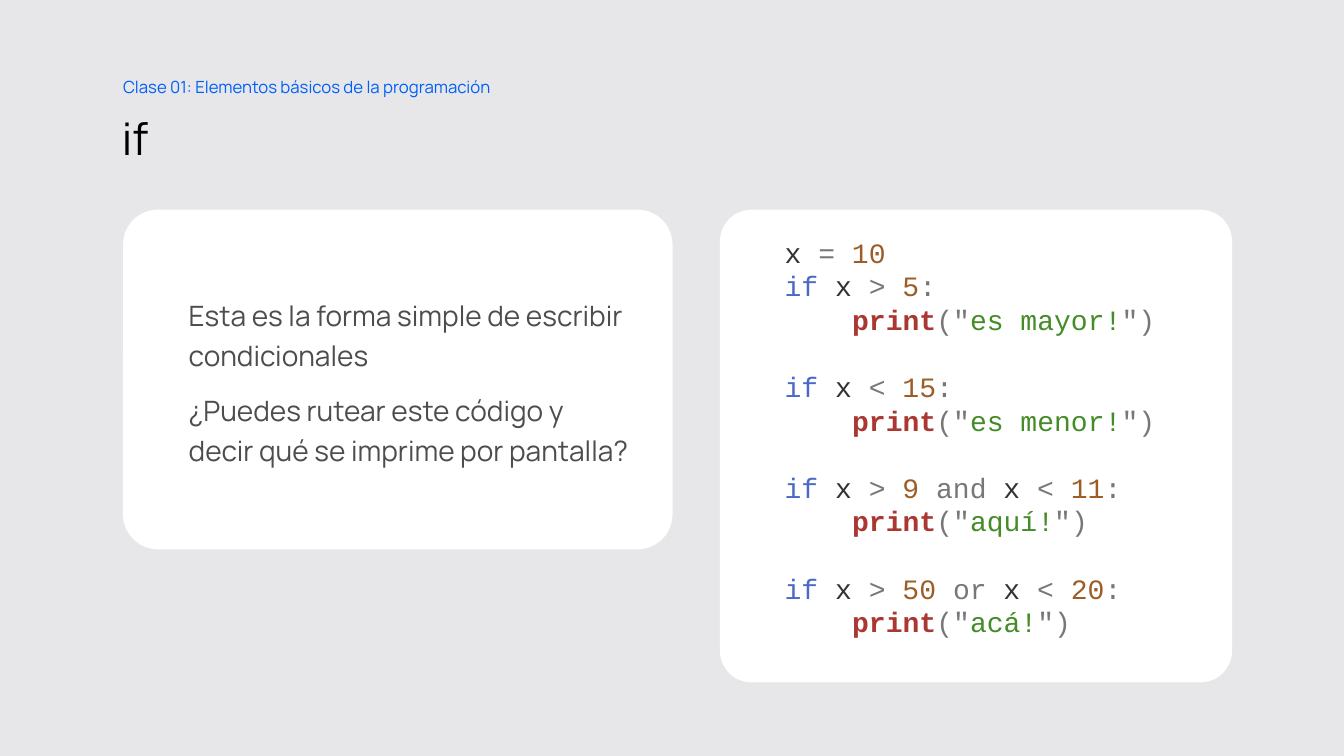
from dataclasses import dataclass

import pptx
import pptx.dml.color
import pptx.enum.shapes
import pptx.enum.text
import pptx.util

Inches = pptx.util.Inches
Pt = pptx.util.Pt
ANCHOR = pptx.enum.text.MSO_ANCHOR

COLORS = {
    "background": "E7E7E9", "card": "FFFFFF", "title": "000000",
    "accent": "005FF9", "body": "4D4D4D",
    "name": "333333", "operator": "777777", "number": "9C5D27",
    "keyword": "4B69C6", "function": "AA3731", "string": "448C27",
}
BODY_FONT = "Manrope"
CODE_FONT = "Courier New"


@dataclass
class Box:
    left: float
    top: float
    width: float
    height: float

    def lengths(self) -> tuple:
        return tuple(Inches(v) for v in (self.left, self.top, self.width, self.height))


@dataclass
class Card:
    box: Box
    corner: float
    inset_top: float
    anchor: ANCHOR


@dataclass
class Condition:
    tests: list[tuple[str, str]]  # (text, colour name)
    message: str


TITLE_BOX = Box(1.21, 1, 10.85, 0.75)
CLASS_BOX = Box(1.22, 0.67, 4.21, 0.34)
TEXT_CARD = Card(Box(1.22, 2.08, 5.45, 3.37), 0.103, 0, ANCHOR.MIDDLE)
CODE_CARD = Card(Box(7.14, 2.08, 5.08, 4.69), 0.067, 0.16, ANCHOR.TOP)

EXPLANATION = [
    "Esta es la forma simple de escribir condicionales",
    "¿Puedes rutear este código y decir qué se imprime por pantalla?",
]
ASSIGNMENT = [("x ", "name"), ("= ", "operator"), ("10", "number")]
CONDITIONS = [
    Condition([("> ", "operator"), ("5", "number")], "es mayor!"),
    Condition([("< ", "operator"), ("15", "number")], "es menor!"),
    Condition([("> ", "operator"), ("9 ", "number"), ("and", "operator"),
               (" x ", "name"), ("< ", "operator"), ("11", "number")], "aquí!"),
    Condition([("> ", "operator"), ("50 ", "number"), ("or", "operator"),
               (" x ", "name"), ("< ", "operator"), ("20", "number")], "acá!"),
]


def rgb(name: str) -> pptx.dml.color.RGBColor:
    return pptx.dml.color.RGBColor.from_string(COLORS[name])


def add_run(p, text: str, color: str, size: float, font: str = BODY_FONT) -> None:
    r = p.add_run()
    r.text = text
    r.font.name = font
    r.font.size = Pt(size)
    r.font.bold = color == "function"
    r.font.color.rgb = rgb(color)


def set_frame(tf, insets: tuple, anchor: ANCHOR) -> None:
    tf.word_wrap = True
    tf.auto_size = pptx.enum.text.MSO_AUTO_SIZE.NONE
    tf.vertical_anchor = anchor
    tf.margin_left, tf.margin_top, tf.margin_right, tf.margin_bottom = map(Inches, insets)


def next_paragraph(tf):
    """Return the first paragraph while it is unused, then new ones."""
    p = tf.paragraphs[0] if not tf.paragraphs[0].runs else tf.add_paragraph()
    p.alignment = pptx.enum.text.PP_ALIGN.LEFT
    return p


def add_body_line(tf, text: str, color: str, size: float) -> None:
    p = next_paragraph(tf)
    p.line_spacing = 1.2
    p.space_before = Pt(10)
    add_run(p, text, color, size)


def add_code_line(tf, tokens: list[tuple[str, str]], gap: float = 0, indent: float = 0) -> None:
    p = next_paragraph(tf)
    p.space_before = Pt(gap)
    if indent:
        pPr = p._p.get_or_add_pPr()
        pPr.set("marL", str(Inches(indent)))
        pPr.set("indent", "0")
    for text, color in tokens:
        add_run(p, text, color, 20, CODE_FONT)


def add_card(s, card: Card):
    sp = s.shapes.add_shape(pptx.enum.shapes.MSO_SHAPE.ROUNDED_RECTANGLE, *card.box.lengths())
    sp.adjustments[0] = card.corner
    sp.shadow.inherit = False
    sp.fill.solid()
    sp.fill.fore_color.rgb = rgb("card")
    sp.line.fill.background()
    set_frame(sp.text_frame, (0.55, card.inset_top, 0.3, 0), card.anchor)
    return sp.text_frame


def main() -> None:
    prs = pptx.Presentation()
    prs.slide_width, prs.slide_height = Inches(13.33), Inches(7.5)
    s = prs.slides.add_slide(prs.slide_layouts[5])
    s.background.fill.solid()
    s.background.fill.fore_color.rgb = rgb("background")

    # Title
    title = s.shapes.title
    title.left, title.top, title.width, title.height = TITLE_BOX.lengths()
    set_frame(title.text_frame, (0, 0.1, 0.1, 0.05), ANCHOR.MIDDLE)
    p = next_paragraph(title.text_frame)
    p.line_spacing = 0.9
    add_run(p, "if", "title", 32)

    # Class name above the title
    tf = s.shapes.add_textbox(*CLASS_BOX.lengths()).text_frame
    set_frame(tf, (0, 0.05, 0.1, 0.05), ANCHOR.TOP)
    add_body_line(tf, "Clase 01: Elementos básicos de la programación", "accent", 12)

    # Explanation card
    tf = add_card(s, TEXT_CARD)
    for text in EXPLANATION:
        add_body_line(tf, text, "body", 20)

    # Code card: one blank line's gap before every condition but the first
    tf = add_card(s, CODE_CARD)
    add_code_line(tf, ASSIGNMENT)
    for i, condition in enumerate(CONDITIONS):
        test = [("if", "keyword"), (" x ", "name"), *condition.tests, (":", "operator")]
        call = [("print", "function"), ('("', "operator"),
                (condition.message, "string"), ('")', "operator")]
        add_code_line(tf, test, gap=24 if i else 0)
        add_code_line(tf, call, indent=0.67)

    prs.save("out.pptx")


if __name__ == "__main__":
    main()
